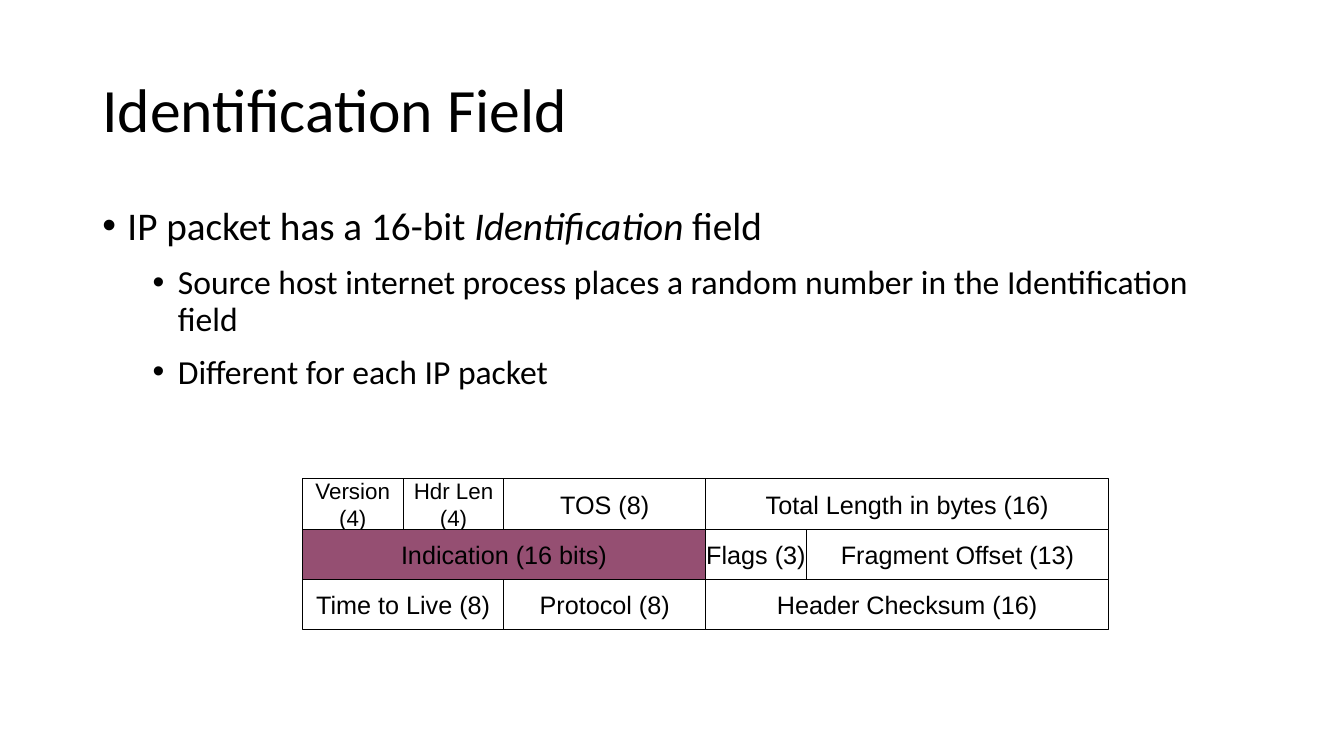
from lxml.etree import SubElement
from pptx import Presentation
from pptx.dml.color import RGBColor
from pptx.enum.shapes import MSO_SHAPE
from pptx.enum.text import MSO_ANCHOR, MSO_AUTO_SIZE, PP_ALIGN
from pptx.oxml.ns import qn
from pptx.util import Emu, Pt

BLACK, WHITE, PLUM = "000000", "FFFFFF", "954F72"
FIELD_COUNT_BITS = 32

HEADER_ROWS = [
    [("Version\n(4)", 4), ("Hdr Len\n(4)", 4), ("TOS (8)", 8), ("Total Length in bytes (16)", 16)],
    [("Indication (16 bits)", 16), ("Flags (3)", 4), ("Fragment Offset (13)", 12)],
    [("Time to Live (8)", 8), ("Protocol (8)", 8), ("Header Checksum (16)", 16)],
]
HIGHLIGHTED = "Indication (16 bits)"

BULLETS = [
    (0, ["IP packet has a 16-bit ", "Identification", " field"]),
    (1, ["Source host internet process places a random number in the Identification field"]),
    (1, ["Different for each IP packet"]),
]
LEVEL_STYLES = [(28, 10, 24), (24, 12, 72)]
HANGING = 24


def px(length):
    return Emu(length * 9525)


def color(value):
    return RGBColor.from_string(value)


def format_run(run, size, font):
    run.font.size = Pt(size)
    run.font.name = font
    run.font.color.rgb = color(BLACK)


def add_title(slide, left, top, width, height):
    title = slide.shapes.title
    title.left, title.top, title.width, title.height = map(px, (left, top, width, height))
    frame = title.text_frame
    frame.text = "Identification Field"
    frame.auto_size = MSO_AUTO_SIZE.NONE
    frame.vertical_anchor = MSO_ANCHOR.MIDDLE
    paragraph = frame.paragraphs[0]
    paragraph.alignment = PP_ALIGN.LEFT
    paragraph.line_spacing = 0.9
    format_run(paragraph.runs[0], 44, "Calibri")


def add_bullets(slide, left, top, width, height):
    frame = slide.shapes.add_textbox(*map(px, (left, top, width, height))).text_frame
    frame.word_wrap = True
    for index, (level, parts) in enumerate(BULLETS):
        paragraph = frame.add_paragraph() if index else frame.paragraphs[0]
        size, space_before, indent = LEVEL_STYLES[level]
        paragraph.level = level
        paragraph.line_spacing = 0.9
        paragraph.space_before = Pt(space_before)
        properties = paragraph._p.get_or_add_pPr()
        properties.set("marL", str(px(indent)))
        properties.set("indent", str(px(-HANGING)))
        SubElement(properties, qn("a:buFont"), typeface="Arial")
        SubElement(properties, qn("a:buChar"), char="•")
        for part in parts:
            run = paragraph.add_run()
            run.text = part
            format_run(run, size, "Calibri")
            run.font.italic = part == "Identification"


def add_field(slide, text, left, top, width, height):
    shape = slide.shapes.add_shape(MSO_SHAPE.RECTANGLE, *map(px, (left, top, width, height)))
    shape.shadow.inherit = False
    shape.fill.solid()
    shape.fill.fore_color.rgb = color(PLUM if text == HIGHLIGHTED else WHITE)
    shape.line.color.rgb = color(BLACK)
    shape.line.width = Pt(0.75)
    frame = shape.text_frame
    frame.text = text
    frame.word_wrap = False
    frame.vertical_anchor = MSO_ANCHOR.MIDDLE
    for paragraph in frame.paragraphs:
        paragraph.alignment = PP_ALIGN.CENTER
        format_run(paragraph.runs[0], 16 if "\n" in text else 18, "Arial")


def add_packet_header(slide, left, top, width, height):
    row_height = height // len(HEADER_ROWS)
    bit_width = width // FIELD_COUNT_BITS
    for row, fields in enumerate(HEADER_ROWS):
        field_left = left
        for text, bits in fields:
            field_width = bits * bit_width
            add_field(slide, text, field_left, top + row * row_height, field_width, row_height)
            field_left += field_width


def main():
    presentation = Presentation()
    presentation.slide_width, presentation.slide_height = px(1280), px(720)
    slide = presentation.slides.add_slide(presentation.slide_layouts[5])
    slide.background.fill.solid()
    slide.background.fill.fore_color.rgb = color(WHITE)
    add_title(slide, 88, 38, 1104, 139)
    add_bullets(slide, 88, 192, 1104, 457)
    add_packet_header(slide, 288, 456, 768, 144)
    presentation.save("out.pptx")


if __name__ == "__main__":
    main()
